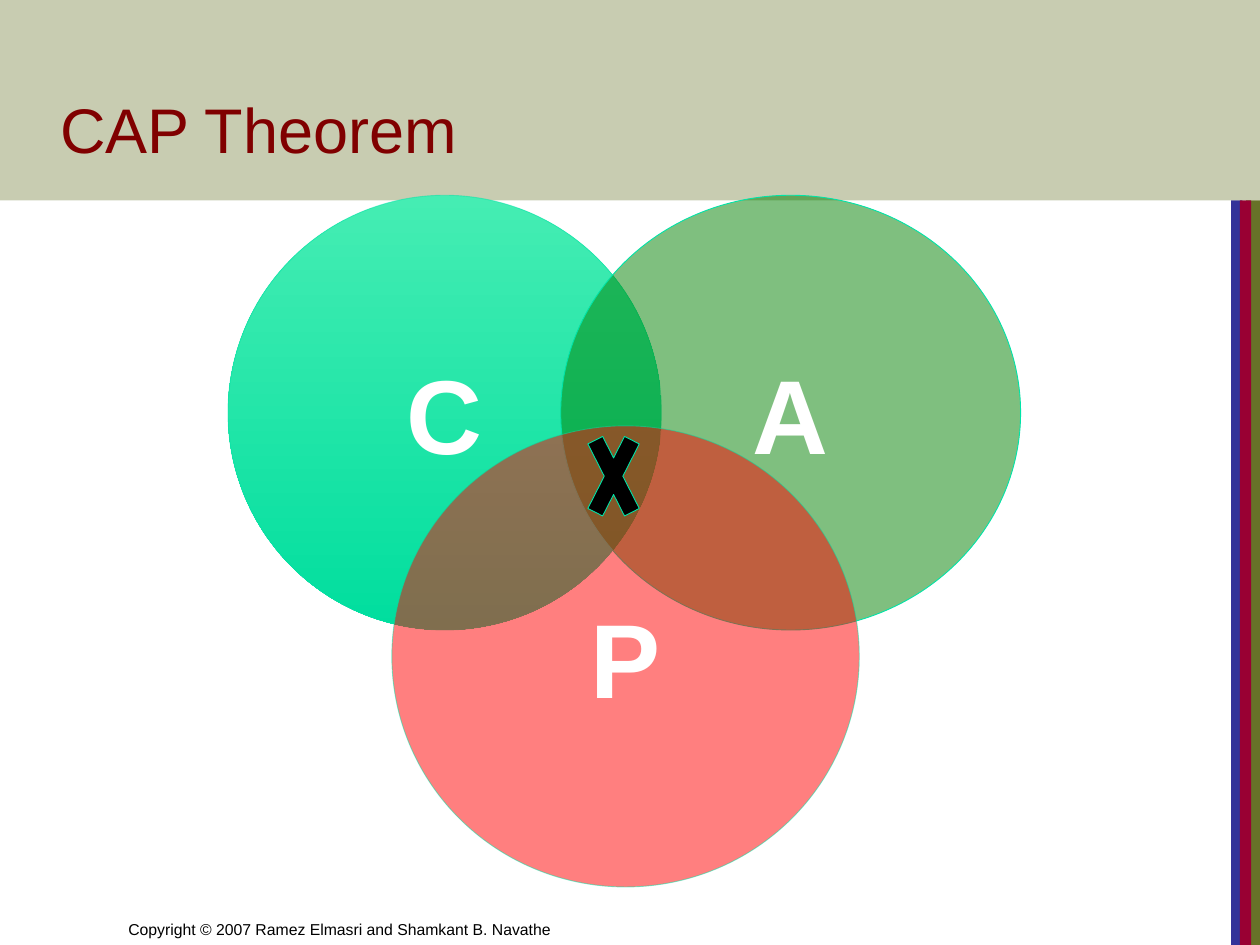
import pptx
import pptx.dml.color
import pptx.enum.shapes
import pptx.enum.text
import pptx.oxml
import pptx.oxml.ns
import pptx.util
from pptx.util import Inches

SHAPE = pptx.enum.shapes.MSO_SHAPE
ALIGN = pptx.enum.text.PP_ALIGN
ANCHOR = pptx.enum.text.MSO_ANCHOR

COLORS = {
    "olive": "677228", "blue": "333399", "crimson": "990033",
    "maroon": "800000", "black": "000000", "white": "FFFFFF",
    "mint": "45EDB3", "emerald": "00DE9E", "outline": "00E4A8",
    "green": "008000", "red": "FF0000",
}

# Content: positions are left, top, width, height in inches
STRIPE_TOP, STRIPE_HEIGHT = 1.59, 5.91
STRIPES = [("olive", 9.89, 0.11), ("blue", 9.77, 0.09), ("crimson", 9.84, 0.09)]
BANNER = (0, 0, 10, 1.59)
TEXTS = [
    ("Copyright © 2007 Ramez Elmasri and Shamkant B. Navathe",
     (0.92, 7, 4.92, 0.5), 9, "black"),
    ("CAP Theorem", (0.38, 0.12, 9, 1.25), 36, "maroon"),
]
# Letter, box, fill colours, fill opacity, line opacity (percent)
CIRCLES = [
    ("C", (1.81, 1.55, 3.44, 3.45), ("mint", "emerald"), 100, 50),
    ("A", (4.45, 1.55, 3.65, 3.45), ("green",), 50, 100),
    ("P", (3.11, 3.38, 3.71, 3.66), ("red",), 50, 50),
]
CROSS = (4.59, 3.23, 0.56, 1.1)


def rgb(name):
    return pptx.dml.color.RGBColor.from_string(COLORS[name])


def set_opacity(fill_parent, percent):
    """Add an alpha value to the solid fill inside the given XML element."""
    if percent < 100:
        color = fill_parent.find(pptx.oxml.ns.qn("a:solidFill"))[0]
        alpha = pptx.oxml.parse_xml(
            f'<a:alpha {pptx.oxml.ns.nsdecls("a")} val="{percent * 1000}"/>')
        color.append(alpha)


def add_shape(slide, kind, box, fills, opacity=100, line_opacity=None):
    shape = slide.shapes.add_shape(kind, *map(Inches, box))
    shape.shadow.inherit = False
    if len(fills) == 2:
        shape.fill.gradient()
        shape.fill.gradient_angle = 270
        for stop, position, name in zip(shape.fill.gradient_stops, (0, 1), fills):
            stop.position = position
            stop.color.rgb = rgb(name)
    else:
        shape.fill.solid()
        shape.fill.fore_color.rgb = rgb(fills[0])
        set_opacity(shape._element.spPr, opacity)
    if line_opacity is None:
        shape.line.fill.background()
    else:
        shape.line.color.rgb = rgb("outline")
        shape.line.width = pptx.util.Pt(0.5)
        set_opacity(shape.line._get_or_add_ln(), line_opacity)
    return shape


def set_text(shape, text, size, color, anchor, alignment, bold=False):
    frame = shape.text_frame
    frame.word_wrap = True
    frame.vertical_anchor = anchor
    paragraph = frame.paragraphs[0]
    paragraph.text = text
    paragraph.alignment = alignment
    paragraph.font.name = "Arial"
    paragraph.font.size = pptx.util.Pt(size)
    paragraph.font.bold = bold
    paragraph.font.color.rgb = rgb(color)


def main():
    presentation = pptx.Presentation()
    presentation.slide_width, presentation.slide_height = Inches(10), Inches(7.5)
    slide = presentation.slides.add_slide(presentation.slide_layouts[6])

    # Side stripes and title banner
    for color, left, width in STRIPES:
        box = (left, STRIPE_TOP, width, STRIPE_HEIGHT)
        add_shape(slide, SHAPE.RECTANGLE, box, (color,))
    add_shape(slide, SHAPE.RECTANGLE, BANNER, ("olive",), opacity=36)

    # Copyright line and title
    for text, box, size, color in TEXTS:
        text_box = slide.shapes.add_textbox(*map(Inches, box))
        set_text(text_box, text, size, color, ANCHOR.BOTTOM, ALIGN.LEFT)

    # Overlapping circles
    for letter, box, fills, opacity, line_opacity in CIRCLES:
        circle = add_shape(slide, SHAPE.OVAL, box, fills, opacity, line_opacity)
        set_text(circle, letter, 60, "white", ANCHOR.MIDDLE, ALIGN.CENTER, bold=True)

    # Cross over the shared area
    add_shape(slide, SHAPE.MATH_MULTIPLY, CROSS, ("black",), line_opacity=100)

    presentation.save("out.pptx")


if __name__ == "__main__":
    main()
